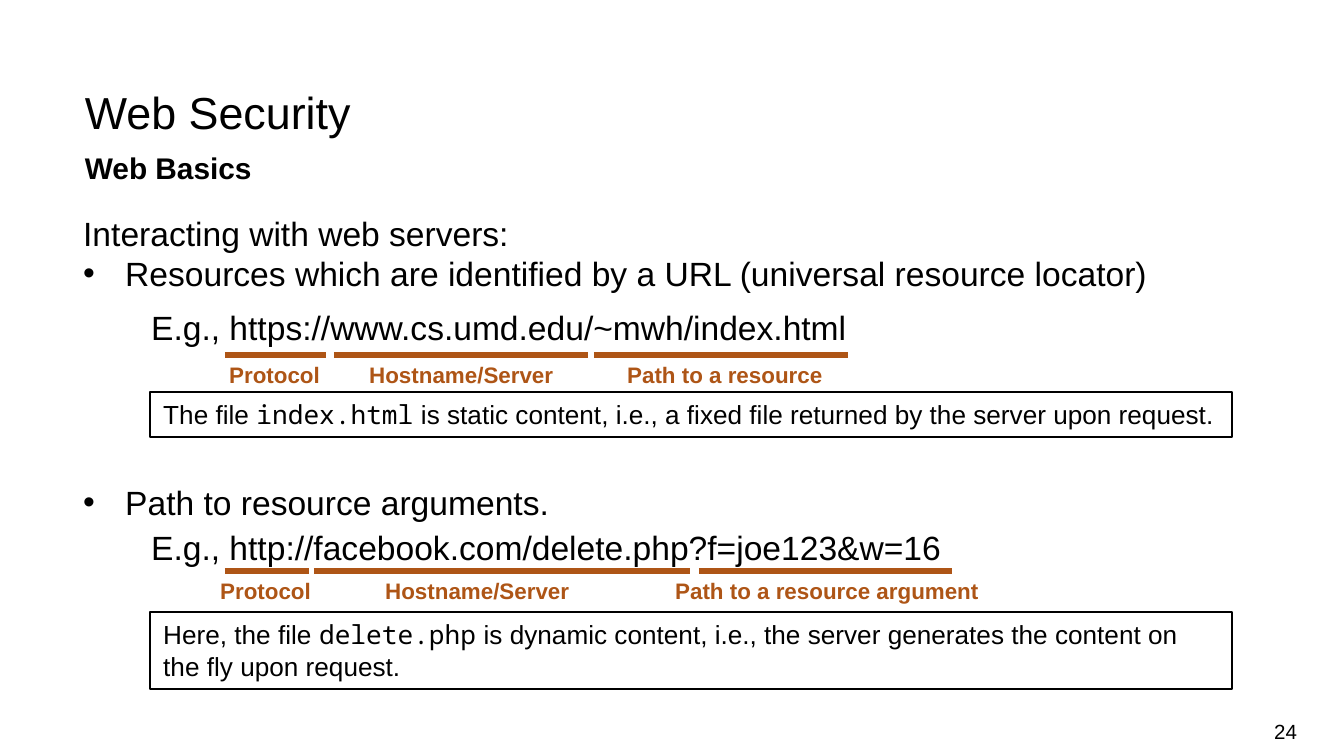
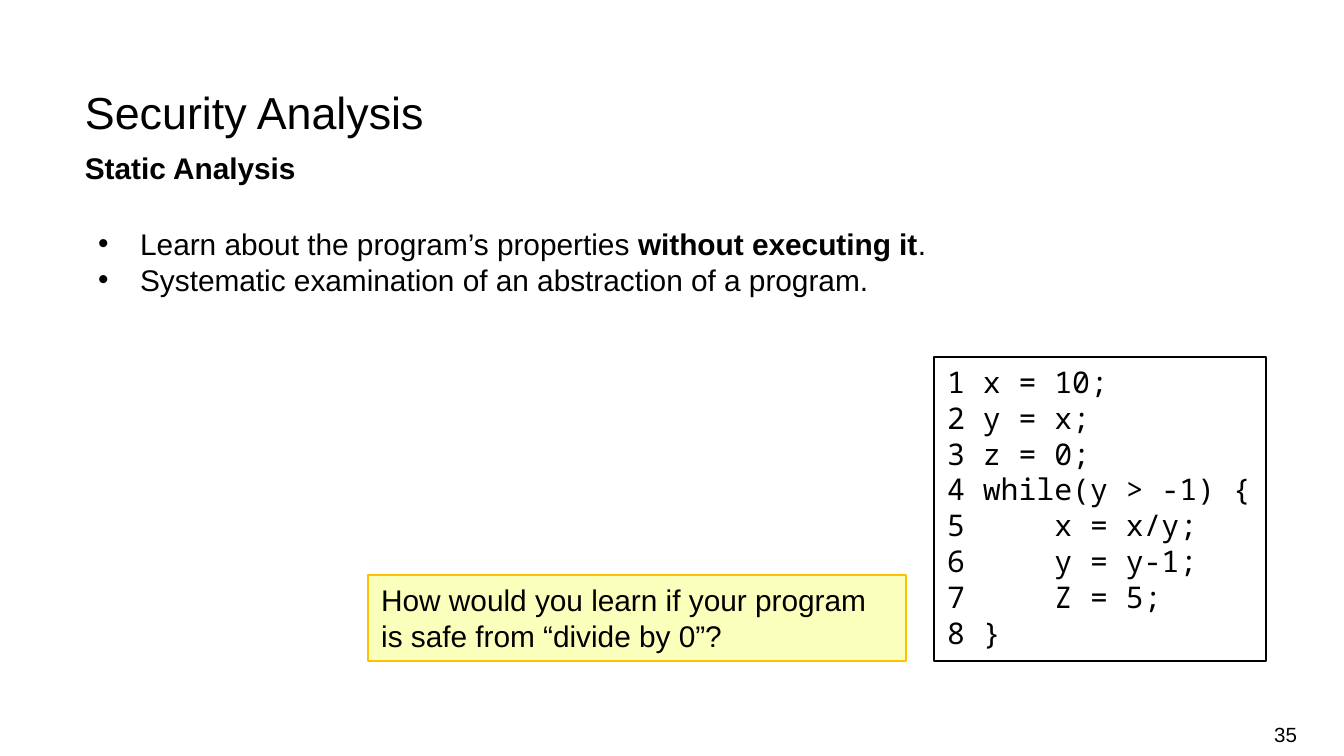
from lxml.etree import SubElement
from pptx import Presentation
from pptx.dml.color import RGBColor
from pptx.enum.shapes import MSO_CONNECTOR, MSO_SHAPE
from pptx.enum.text import MSO_ANCHOR, MSO_AUTO_SIZE, PP_ALIGN
from pptx.oxml.ns import qn
from pptx.util import Emu, Pt

BLACK = RGBColor(0x00, 0x00, 0x00)
RUST = RGBColor(0xAE, 0x55, 0x16)
PALE_YELLOW = RGBColor(0xFB, 0xFF, 0xBC)
GOLD = RGBColor(0xFF, 0xC0, 0x00)
SANS = "Arial"
MONO = "Noto Sans Mono"
WIDTH, HEIGHT = 1344, 756
INDENT = 42


def px(n):
    return Emu(round(n * 9144000 / WIDTH))


class Deck:
    """Holds the presentation, its style and the current slide."""

    def __init__(self):
        self.prs = Presentation()
        self.prs.slide_width, self.prs.slide_height = px(WIDTH), px(HEIGHT)

    def slide(self, title, subtitle, number, number_y):
        self.s = self.prs.slides.add_slide(self.prs.slide_layouts[6])
        tf = self.text(996, number_y, 301, 40, [[number]], 11, grow=False)
        tf.margin_left = tf.margin_right = 0
        tf.vertical_anchor = MSO_ANCHOR.MIDDLE
        tf.paragraphs[0].alignment = PP_ALIGN.RIGHT
        self.heading(79, 1212, 55, title, 24, Pt(32))
        self.heading(145, 1148, 56, subtitle, 16, 1.14, bold=True)

    def heading(self, y, w, h, words, size, spacing, bold=False):
        tf = self.text(85, y, w, h, [[words]], size, bold=bold, grow=False)
        tf.margin_left = tf.margin_right = tf.margin_top = tf.margin_bottom = 0
        tf.paragraphs[0].line_spacing = spacing

    def text(self, x, y, w, h, paragraphs, size, **style):
        sp = self.s.shapes.add_textbox(px(x), px(y), px(w), px(h))
        return self.fill_text(sp.text_frame, paragraphs, size, **style)

    def box(self, x, y, w, h, paragraphs, size, fill=None, line=BLACK, **style):
        sp = self.s.shapes.add_shape(MSO_SHAPE.RECTANGLE, px(x), px(y), px(w), px(h))
        sp.shadow.inherit = False
        if fill is None:
            sp.fill.background()
        else:
            sp.fill.solid()
            sp.fill.fore_color.rgb = fill
        sp.line.color.rgb = line
        sp.line.width = Pt(0.75)
        self.fill_text(sp.text_frame, paragraphs, size, **style)

    def fill_text(self, tf, paragraphs, size, font=SANS, color=BLACK, bold=False, grow=True):
        tf.word_wrap = True
        tf.vertical_anchor = MSO_ANCHOR.TOP
        tf.auto_size = MSO_AUTO_SIZE.SHAPE_TO_FIT_TEXT if grow else MSO_AUTO_SIZE.NONE
        for i, runs in enumerate(paragraphs):
            p = tf.add_paragraph() if i else tf.paragraphs[0]
            p.alignment = PP_ALIGN.LEFT
            for run in runs:
                words, own = run if isinstance(run, tuple) else (run, {})
                r = p.add_run()
                r.text = words
                r.font.size = Pt(size)
                r.font.name = own.get("font", font)
                r.font.bold = own.get("bold", bold)
                r.font.color.rgb = color
        return tf

    def bullet(self, p):
        pPr = p._p.get_or_add_pPr()
        pPr.set("marL", str(px(INDENT)))
        pPr.set("indent", str(-px(INDENT)))
        SubElement(pPr, qn("a:buFont")).set("typeface", SANS)
        SubElement(pPr, qn("a:buChar")).set("char", "•")

    def underline(self, x1, x2, y):
        c = self.s.shapes.add_connector(MSO_CONNECTOR.STRAIGHT, px(x1), px(y), px(x2), px(y))
        c.line.color.rgb = RUST
        c.line.width = Pt(3)
        SubElement(c._element.spPr, qn("a:effectLst"))

    def labels(self, x, y, w, names, stops):
        tf = self.text(x, y, w, 40, [["\t".join(names)]], 12, color=RUST, bold=True)
        tabs = SubElement(tf.paragraphs[0]._p.get_or_add_pPr(), qn("a:tabLst"))
        for stop in stops:
            tab = SubElement(tabs, qn("a:tab"))
            tab.set("pos", str(px(stop)))
            tab.set("algn", "l")

    def url_example(self, y, w, url, spans, line_y, label_x, label_w, path_label, stops):
        self.text(138, y, w, 54, [["E.g., " + url]], 18)
        for x1, x2 in spans:
            self.underline(x1, x2, line_y)
        self.labels(label_x, line_y, label_w, ["Protocol", "Hostname/Server", path_label], stops)


def web_basics(deck):
    deck.slide("Web Security", "Web Basics", "24", 711)
    tf = deck.text(70, 206, 1093, 325, [
        ["Interacting with web servers:"],
        ["Resources which are identified by a URL (universal resource locator)"],
        ["Path to resource arguments."],
    ], 18)
    for p in tf.paragraphs[1:]:
        deck.bullet(p)
    tf.paragraphs[2].space_before = Pt(101)

    deck.url_example(300, 763, "https://www.cs.umd.edu/~mwh/index.html",
                     [(225, 326), (334, 588), (594, 848)], 355,
                     216, 632, "Path to a resource", [140, 398])
    deck.url_example(520, 857, "http://facebook.com/delete.php?f=joe123&w=16",
                     [(225, 309), (314, 690), (699, 952)], 571,
                     207, 806, "Path to a resource argument", [165, 455])

    code = {"font": MONO}
    deck.box(150, 612, 1082, 77, [[
        "Here, the file ", ("delete.php", code),
        " is dynamic content, i.e., the server generates the content on the fly upon request.",
    ]], 14)
    deck.box(150, 392, 1082, 45, [[
        "The file ", ("index.html", code),
        " is static content, i.e., a fixed file returned by the server upon request.",
    ]], 14)


def static_analysis(deck):
    deck.slide("Security Analysis", "Static Analysis", "35", 714)
    tf = deck.text(85, 219, 1068, 86, [
        ["Learn about the program’s properties ", ("without executing it", {"bold": True}), "."],
        ["Systematic examination of an abstraction of a program."],
    ], 16)
    for p in tf.paragraphs:
        deck.bullet(p)

    program = ["x = 10;", "y = x;", "z = 0;", "while(y > -1) {",
               "    x = x/y;", "    y = y-1;", "    Z = 5;", "}"]
    deck.box(934, 357, 332, 304,
             [[f"{n} {line}"] for n, line in enumerate(program, 1)], 16, font=MONO)
    deck.box(368, 575, 538, 86,
             [["How would you learn if your program is safe from “divide by 0”?"]],
             16, fill=PALE_YELLOW, line=GOLD)


def main():
    deck = Deck()
    web_basics(deck)
    static_analysis(deck)
    deck.prs.save("out.pptx")


if __name__ == "__main__":
    main()
